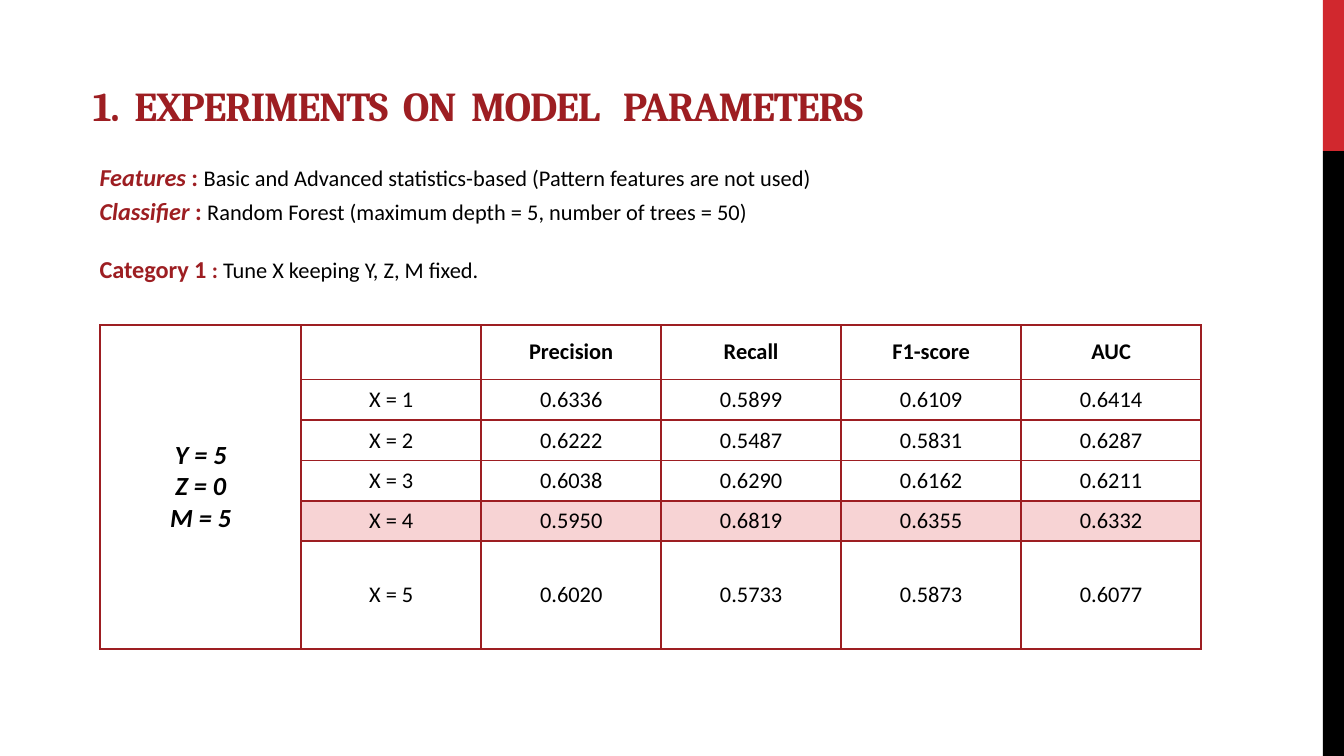
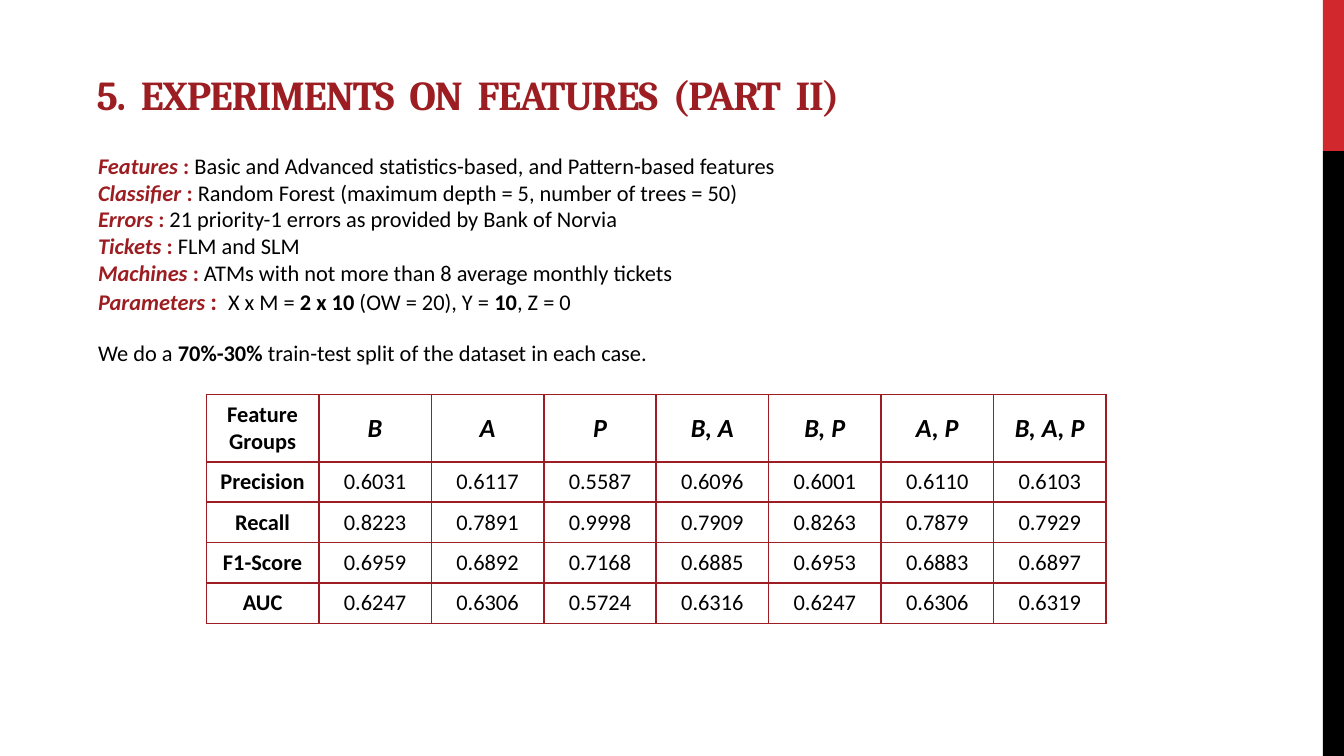
import dataclasses
import pptx
import pptx.dml.color
import pptx.enum.shapes
import pptx.enum.text
import pptx.oxml.ns
import pptx.util
from lxml import etree

ANCHOR = pptx.enum.text.MSO_ANCHOR
ALIGN = pptx.enum.text.PP_ALIGN
FIT = pptx.enum.text.MSO_AUTO_SIZE
WIDTH = pptx.util.Inches(10)
HEIGHT = WIDTH * 9 // 16


@dataclasses.dataclass(frozen=True)
class Theme:
    accent: str = "9D1E22"
    band: str = "D1282E"
    ink: str = "000000"
    paper: str = "FFFFFF"
    highlight: str = "F7D3D4"
    title_font: str = "Cambria"
    body_font: str = "Calibri"
    title: float = 22
    group: float = 14
    label: float = 13
    body: float = 12
    border: float = 1
    title_spacing: float = -0.6


T = Theme()


@dataclasses.dataclass(frozen=True)
class Style:
    size: float = T.body
    color: str = T.ink
    bold: bool = False
    italic: bool = False
    font: str = T.body_font


BODY = Style()
STRONG = Style(bold=True)
GROUP = Style(T.group, bold=True, italic=True)
TITLE = Style(T.title, T.accent, bold=True, font=T.title_font)
COLON = Style(color=T.accent, bold=True)
LABEL = dataclasses.replace(COLON, italic=True)
BIG_COLON = dataclasses.replace(COLON, size=T.label)
BIG_LABEL = dataclasses.replace(LABEL, size=T.label)


def rgb(color):
    return pptx.dml.color.RGBColor.from_string(color)


def across(percent):
    return round(WIDTH * percent / 100)


def down(percent):
    return round(HEIGHT * percent / 100)


def area(x, y, w, h):
    return across(x), down(y), across(w), down(h)


def format_run(r, style):
    r.font.name = style.font
    r.font.size = pptx.util.Pt(style.size)
    r.font.bold = style.bold
    r.font.italic = style.italic
    r.font.color.rgb = rgb(style.color)


def add_band(s, y, h, color):
    sp = s.shapes.add_shape(pptx.enum.shapes.MSO_SHAPE.RECTANGLE, *area(98.43, y, 1.57, h))
    sp.shadow.inherit = False
    sp.fill.solid()
    sp.fill.fore_color.rgb = rgb(color)
    sp.line.fill.background()
    return sp


def add_side_bands(prs, s):
    for band in ((0, 20, T.band), (20, 80, T.ink)):
        prs.slide_master.shapes.element.append(add_band(s, *band).element)


def set_title(s, text, x, y):
    sp = s.shapes.title
    sp.left, sp.top, sp.width, sp.height = area(x, y, 76.4, 9.96)
    tf = sp.text_frame
    tf.text = text
    tf.auto_size = FIT.NONE
    tf.vertical_anchor = ANCHOR.BOTTOM
    p = tf.paragraphs[0]
    p.alignment = ALIGN.LEFT
    for r in p.runs:
        format_run(r, TITLE)
        r.font._element.set("spc", str(round(T.title_spacing * 100)))


def add_lines(s, box, lines):
    tf = s.shapes.add_textbox(*area(*box)).text_frame
    tf.word_wrap = True
    tf.auto_size = FIT.SHAPE_TO_FIT_TEXT
    for i, (gap, runs) in enumerate(lines):
        p = tf.add_paragraph() if i else tf.paragraphs[0]
        p.space_before = pptx.util.Pt(gap)
        for text, style in runs:
            r = p.add_run()
            r.text = text
            format_run(r, style)


def set_borders(cell):
    tc_pr = cell._tc.get_or_add_tcPr()
    for i, side in enumerate(("a:lnL", "a:lnR", "a:lnT", "a:lnB")):
        ln = etree.Element(pptx.oxml.ns.qn(side), w=str(pptx.util.Pt(T.border)))
        fill = etree.SubElement(ln, pptx.oxml.ns.qn("a:solidFill"))
        etree.SubElement(fill, pptx.oxml.ns.qn("a:srgbClr"), val=T.accent)
        tc_pr.insert(i, ln)


def fill_cell(cell, text, style, color):
    cell.text = text
    cell.vertical_anchor = ANCHOR.MIDDLE
    cell.fill.solid()
    cell.fill.fore_color.rgb = rgb(color)
    set_borders(cell)
    for p in cell.text_frame.paragraphs:
        p.alignment = ALIGN.CENTER
        for r in p.runs:
            format_run(r, style)
        if not p.runs:
            etree.SubElement(p._p, pptx.oxml.ns.qn("a:endParaRPr"), sz=str(T.body * 100))


def add_grid(s, x, y, widths, heights, rows, style_at, highlight=None):
    box = area(x, y, sum(widths), sum(heights))
    table = s.shapes.add_table(len(rows), len(widths), *box).table
    table.first_row = table.horz_banding = False
    for column, w in zip(table.columns, widths):
        column.width = across(w)
    for row, h in zip(table.rows, heights):
        row.height = down(h)
    for i, row in enumerate(rows):
        for j, text in enumerate(row):
            color = T.highlight if i == highlight and j else T.paper
            fill_cell(table.cell(i, j), text, style_at(i, j), color)
    return table


def parameter_style(i, j):
    if j == 0:
        return GROUP
    return BODY if i else STRONG


def feature_style(i, j):
    if j == 0:
        return STRONG
    return BODY if i else GROUP


def build_parameters(s):
    set_title(s, "1.  EXPERIMENTS  ON  MODEL   PARAMETERS", 5.9, 8.05)
    add_lines(s, (6.42, 20.64, 58.5, 17.97), [
        (0, [("Features", BIG_LABEL), (" : ", BIG_COLON),
             ("Basic and Advanced statistics-based (Pattern features are not used)", BODY)]),
        (2.4, [("Classifier", BIG_LABEL), (" : ", BIG_COLON),
               ("Random Forest (maximum depth = 5, number of trees = 50)", BODY)]),
        (15.4, [("Category 1 ", BIG_COLON), (": ", COLON),
                ("Tune X keeping Y, Z, M fixed.", BODY)]),
    ])
    rows = [
        ("Y = 5\nZ = 0\nM = 5", "", "Precision", "Recall", "F1-score", "AUC"),
        ("", "X = 1", "0.6336", "0.5899", "0.6109", "0.6414"),
        ("", "X = 2", "0.6222", "0.5487", "0.5831", "0.6287"),
        ("", "X = 3", "0.6038", "0.6290", "0.6162", "0.6211"),
        ("", "X = 4", "0.5950", "0.6819", "0.6355", "0.6332"),
        ("", "X = 5", "0.6020", "0.5733", "0.5873", "0.6077"),
    ]
    table = add_grid(s, 7.46, 42.98, [14.96] + [13.39] * 5, [7.25] + [5.34] * 5,
                     rows, parameter_style, highlight=4)
    table.cell(0, 0).merge(table.cell(5, 0))


def build_features(s):
    set_title(s, "5.  EXPERIMENTS  ON  FEATURES  (PART  II)", 6.18, 6.63)
    settings = [
        ("Features", " : ", "Basic and Advanced statistics-based, and Pattern-based features"),
        ("Classifier", " : ", "Random Forest (maximum depth = 5, number of trees = 50)"),
        ("Errors ", ": ", "21 priority-1 errors as provided by Bank of Norvia"),
        ("Tickets ", ": ", "FLM and SLM"),
        ("Machines ", ": ", "ATMs with not more than 8 average monthly tickets"),
    ]
    lines = [(0, list(zip(setting, (LABEL, COLON, BODY)))) for setting in settings]
    lines += [
        (0, [("Parameters ", LABEL), (":  ", BIG_COLON), ("X x M = ", BODY),
             ("2 x 10 ", STRONG), ("(OW = 20), Y = ", BODY), ("10", STRONG),
             (", Z = 0", BODY)]),
        (12.8, [("We do a ", BODY), ("70%-30% ", STRONG),
                ("train-test split of the dataset in each case.", BODY)]),
    ]
    add_lines(s, (6.32, 19.2, 88.6, 34.5), lines)
    rows = [
        ("Feature Groups", "B", "A", "P", "B, A", "B, P", "A, P", "B, A, P"),
        ("Precision", "0.6031", "0.6117", "0.5587", "0.6096", "0.6001", "0.6110", "0.6103"),
        ("Recall", "0.8223", "0.7891", "0.9998", "0.7909", "0.8263", "0.7879", "0.7929"),
        ("F1-Score", "0.6959", "0.6892", "0.7168", "0.6885", "0.6953", "0.6883", "0.6897"),
        ("AUC", "0.6247", "0.6306", "0.5724", "0.6316", "0.6247", "0.6306", "0.6319"),
    ]
    add_grid(s, 15.36, 52.2, [8.37] * 8, [8.9] + [5.34] * 4, rows, feature_style)


def main():
    prs = pptx.Presentation()
    prs.slide_width, prs.slide_height = WIDTH, HEIGHT
    title_only = prs.slide_layouts.get_by_name("Title Only")
    for build in (build_parameters, build_features):
        build(prs.slides.add_slide(title_only))
    add_side_bands(prs, prs.slides[0])
    prs.save("out.pptx")


if __name__ == "__main__":
    main()
